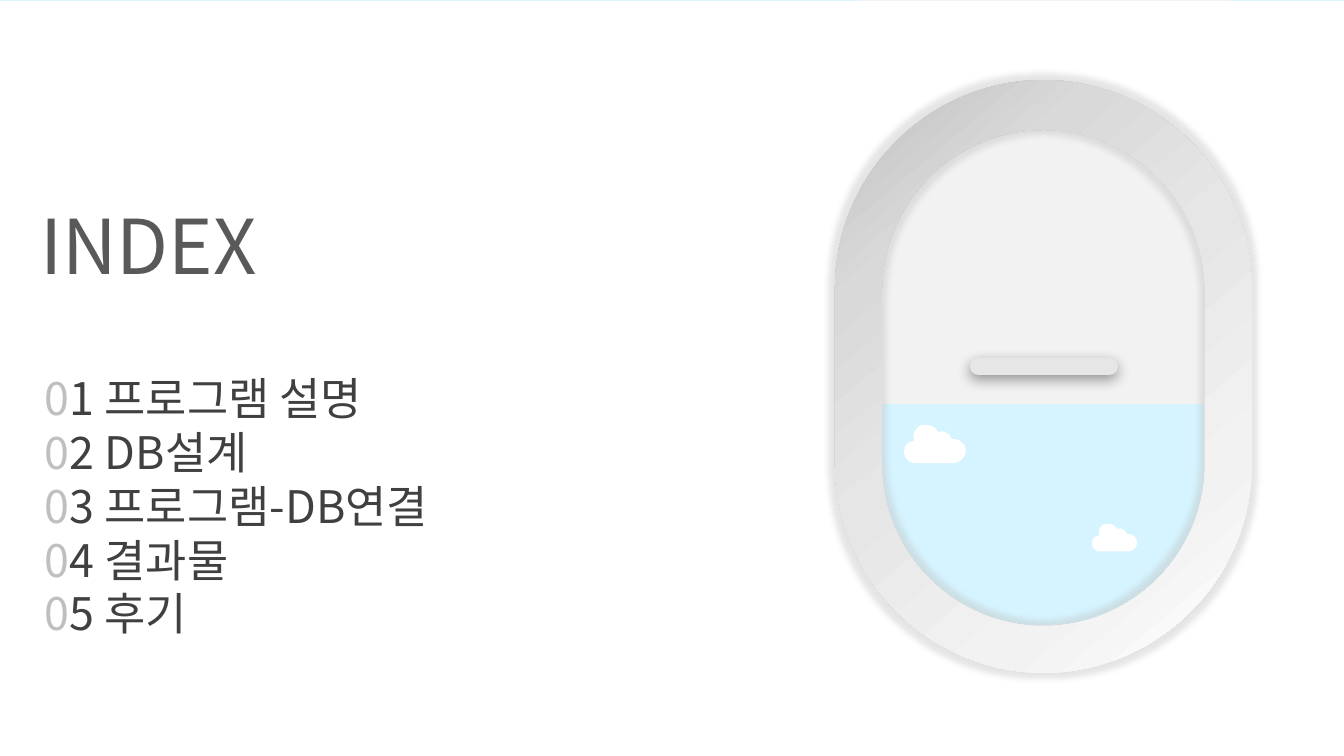
from lxml.etree import SubElement
from pptx import Presentation
from pptx.dml.color import RGBColor
from pptx.enum.shapes import MSO_SHAPE as SHAPE
from pptx.enum.text import MSO_ANCHOR, MSO_AUTO_SIZE, PP_ALIGN
from pptx.oxml import parse_xml
from pptx.oxml.ns import nsdecls, qn
from pptx.util import Pt

TITLE = "INDEX"
ITEMS = ["프로그램 설명", "DB설계", "프로그램-DB연결", "결과물", "후기"]

PX = 914400 / 100.8
WIDTH, HEIGHT = 1344, 756


class Theme:
    font = "Noto Sans CJK KR"
    title_size, item_size = 54, 32
    sky, wall, blind, handle = "D5F4FF", "FFFFFF", "F2F2F2", "E6E6E6"
    title, zero, item = "595959", "BFBFBF", "404040"
    shadow, glow = "000000", "BFBFBF"
    frame = [(0, "BFBFBF"), (24, "D9D9D9"), (48, "E6E6E6"), (76, "F2F2F2"), (100, "FFFFFF")]
    frame_angle = 50


# left, top, width, height
TITLE_BOX = (30, 194, 558, 102)
LIST_BOX = (35, 366, 644, 281)
BLIND = (859, 0, 370, 404)
HANDLE = (970, 358, 148, 17)
PANE = (882, 130, 323, 496)
FRAME = (835, 80, 417, 593)

# left, top, scale
CLOUDS = [(904, 424, 1), (1092, 523, 0.73)]

# An outline is a list of steps: one point is a move or line, three points a curve
CLOUD = [
    [(50, 15)],
    [(49, 15), (48, 15), (48, 15)],
    [(47, 12), (45, 10), (43, 9)],
    [(40, 7), (37, 7), (34, 8)],
    [(32, 2), (24, 0), (18, 1)],
    [(11, 3), (8, 11), (10, 17)],
    [(4, 17), (0, 22), (0, 28)],
    [(0, 34), (5, 39), (10, 39)],
    [(50, 39)],
    [(56, 39), (62, 33), (62, 27)],
    [(62, 20), (56, 15), (50, 15)],
]
WALL = [[(0, 1)], [(WIDTH, 1)], [(WIDTH, HEIGHT)], [(0, HEIGHT)]]


def emu(*lengths):
    return [round(v * PX) for v in lengths]


def rgb(code):
    return RGBColor.from_string(code)


def capsule(left, top, width, height):
    """Outline of an upright box with fully round ends."""
    r = width / 2
    k = r * 0.45  # from a corner to the control points of its quarter circle
    right, bottom, middle = left + width, top + height, left + r
    upper, lower = top + r, bottom - r
    return [
        [(middle, top)],
        [(left + k, top), (left, top + k), (left, upper)],
        [(left, lower)],
        [(left, bottom - k), (left + k, bottom), (middle, bottom)],
        [(right - k, bottom), (right, bottom - k), (right, lower)],
        [(right, upper)],
        [(right, top + k), (right - k, top), (middle, top)],
    ]


def cloud(left, top, scale):
    return [[(left + x * scale, top + y * scale) for x, y in step] for step in CLOUD]


def paint(sp, color):
    sp.shadow.inherit = False
    sp.line.fill.background()
    sp.fill.solid()
    sp.fill.fore_color.rgb = rgb(color)
    return sp


def bend(sp, outlines):
    """Join the three segments of each curve step into one Bezier segment."""
    path = sp._element.find(".//" + qn("a:path"))
    nodes = iter([n for n in path if n.tag != qn("a:close")])
    for step in (step for outline in outlines for step in outline):
        group = [next(nodes) for _ in step]
        if len(group) == 3:
            curve = parse_xml(f'<a:cubicBezTo {nsdecls("a")}/>')
            group[0].addprevious(curve)
            for node in group:
                curve.append(node[0])
                path.remove(node)


def add_outline(s, outlines, color):
    builder = None
    for outline in outlines:
        first, *rest = [emu(*pt) for step in outline for pt in step]
        if builder is None:
            builder = s.shapes.build_freeform(*first)
        else:
            builder.move_to(*first)
        builder.add_line_segments(rest, close=True)
    sp = paint(builder.convert_to_shape(), color)
    bend(sp, outlines)
    return sp


def add_effect(sp, name, color, opacity, **settings):
    effects = sp._element.spPr.find(qn("a:effectLst"))
    effect = SubElement(effects, qn(name), **{k: str(v) for k, v in settings.items()})
    tint = SubElement(effect, qn("a:srgbClr"), val=color)
    SubElement(tint, qn("a:alpha"), val=str(opacity * 1000))


def set_gradient(sp, stops, angle):
    gs = "".join(f'<a:gs pos="{pos * 1000}"><a:srgbClr val="{color}"/></a:gs>'
                 for pos, color in stops)
    spPr = sp._element.spPr
    spPr.replace(spPr.find(qn("a:solidFill")), parse_xml(
        f'<a:gradFill {nsdecls("a")} rotWithShape="1"><a:gsLst>{gs}</a:gsLst>'
        f'<a:lin ang="{angle * 60000}" scaled="0"/></a:gradFill>'))


def set_frame(tf):
    tf.word_wrap = True
    tf.auto_size = MSO_AUTO_SIZE.SHAPE_TO_FIT_TEXT
    tf.vertical_anchor = MSO_ANCHOR.TOP


def set_font(p, size):
    p.alignment = PP_ALIGN.LEFT
    p.line_spacing = 1.0
    p.font.size = Pt(size)
    p.font.name = Theme.font
    SubElement(p.font._element, qn("a:ea"), typeface=Theme.font)


def add_window(s):
    shade = s.shapes.add_group_shape().shapes
    paint(shade.add_shape(SHAPE.RECTANGLE, *emu(*BLIND)), Theme.blind)
    handle = paint(shade.add_shape(SHAPE.ROUNDED_RECTANGLE, *emu(*HANDLE)), Theme.handle)
    handle.adjustments[0] = 0.5
    add_effect(handle, "a:outerShdw", Theme.shadow, 40, blurRad=Pt(10), dist=Pt(3),
               dir=90 * 60000, rotWithShape=0)

    add_outline(s, [capsule(*PANE), WALL], Theme.wall)
    for place in CLOUDS:
        add_outline(s, [cloud(*place)], Theme.wall)
    frame = add_outline(s, [capsule(*PANE), capsule(*FRAME)], Theme.wall)
    set_gradient(frame, Theme.frame, Theme.frame_angle)
    add_effect(frame, "a:glow", Theme.glow, 40, rad=Pt(8))


def add_title(s):
    title = s.shapes.title
    title.left, title.top, title.width, title.height = emu(*TITLE_BOX)
    s.shapes._spTree.append(title._element)  # in front of the wall
    set_frame(title.text_frame)
    p = title.text_frame.paragraphs[0]
    p.text = TITLE
    set_font(p, Theme.title_size)
    p.font.color.rgb = rgb(Theme.title)


def add_list(s):
    tf = s.shapes.add_textbox(*emu(*LIST_BOX)).text_frame
    set_frame(tf)
    for n, item in enumerate(ITEMS, 1):
        p = tf.paragraphs[0] if n == 1 else tf.add_paragraph()
        for text, color in (("0", Theme.zero), (f"{n} {item}", Theme.item)):
            r = p.add_run()
            r.text = text
            r.font.color.rgb = rgb(color)
        set_font(p, Theme.item_size)


def main():
    prs = Presentation()
    prs.slide_width, prs.slide_height = emu(WIDTH, HEIGHT)
    s = prs.slides.add_slide(prs.slide_layouts[5])
    s.background.fill.solid()
    s.background.fill.fore_color.rgb = rgb(Theme.sky)
    add_window(s)
    add_title(s)
    add_list(s)
    prs.save("out.pptx")


if __name__ == "__main__":
    main()
